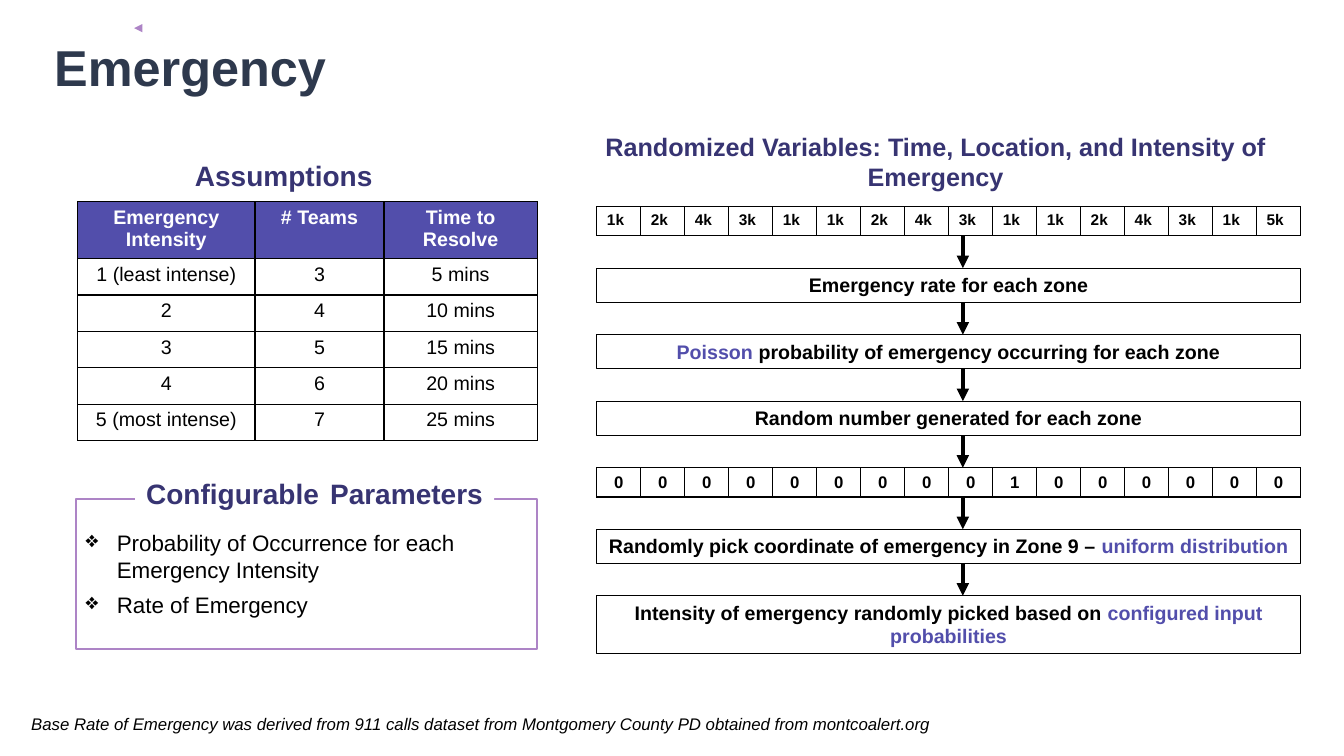
from lxml import etree
from pptx import Presentation
from pptx.dml.color import RGBColor
from pptx.enum.shapes import MSO_CONNECTOR, MSO_SHAPE
from pptx.enum.text import MSO_ANCHOR, PP_ALIGN
from pptx.oxml.ns import qn
from pptx.util import Inches, Pt

RECT, LINE = MSO_SHAPE.RECTANGLE, MSO_CONNECTOR.STRAIGHT
TOP, MIDDLE, BOTTOM = MSO_ANCHOR.TOP, MSO_ANCHOR.MIDDLE, MSO_ANCHOR.BOTTOM
LEFT, CENTER = PP_ALIGN.LEFT, PP_ALIGN.CENTER
BLACK = RGBColor(0, 0, 0)
WHITE = RGBColor(255, 255, 255)
SLATE = RGBColor(0x2E, 0x39, 0x4D)
NAVY = RGBColor(0x37, 0x34, 0x72)
INDIGO = RGBColor(0x52, 0x4E, 0xAB)
LILAC = RGBColor(0xAD, 0x84, 0xC6)

deck = Presentation()
deck.slide_width, deck.slide_height = Inches(13.33), Inches(7.5)
COL, ROW = deck.slide_width / 100, deck.slide_height / 100
slide = deck.slides.add_slide(deck.slide_layouts[6])
shapes = slide.shapes


def write(par, text, size=14, color=BLACK, bold=True, italic=False, align=CENTER):
    par.alignment = align
    run = par.add_run()
    run.text = text
    font = run.font
    font.name, font.size, font.bold, font.italic = "Arial", Pt(size), bold, italic
    font.color.rgb = color


def box(x, y, wide, high, fill=None, line=None, width=0.75, anchor=MIDDLE):
    shape = shapes.add_shape(RECT, int(x * COL), int(y * ROW), int(wide * COL), int(high * ROW))
    shape.shadow.inherit = False
    if fill is None:
        shape.fill.background()
    else:
        shape.fill.solid()
        shape.fill.fore_color.rgb = fill
    if line is None:
        shape.line.fill.background()
    else:
        shape.line.color.rgb = line
        shape.line.width = Pt(width)
    frame = shape.text_frame
    frame.word_wrap = True
    frame.vertical_anchor = anchor
    return frame


title = box(3.3, 3.73, 75, 9.87, anchor=BOTTOM).paragraphs[0]
title.line_spacing = 0.9
write(title, "Emergency", size=36, color=SLATE, align=LEFT)

heads = [
    ("Assumptions", 20, 13.2, 20.27, 15.83, 5.87),
    ("Randomized Variables: Time, Location, and Intensity of Emergency", 18, 43.44, 16.67, 52.36, 9.47),
]
for text, size, *place in heads:
    write(box(*place, fill=WHITE).paragraphs[0], text, size=size, color=NAVY)

panel = box(5.63, 65.95, 34.36, 19.87, line=LILAC, width=1.5)
items = ["Probability of Occurrence for each Emergency Intensity", "Rate of Emergency"]
for num, text in enumerate(items):
    par = panel.add_paragraph() if num else panel.paragraphs[0]
    par.space_before = Pt(6)
    write(par, text, size=16, bold=False, align=LEFT)
    prop = par._p.get_or_add_pPr()
    prop.set("marL", str(Inches(0.31)))
    prop.set("indent", str(-Inches(0.31)))
    etree.SubElement(prop, qn("a:buChar")).set("char", "❖")

label = box(10.05, 60.93, 26.71, 7.6, fill=WHITE).paragraphs[0]
for text, size in [("Configurable", 20), (" ", 28), ("Parameters", 20)]:
    write(label, text, size=size, color=NAVY)

levels = [
    ["Emergency Intensity", "# Teams", "Time to Resolve"],
    ["1 (least intense)", "3", "5 mins"],
    ["2", "4", "10 mins"],
    ["3", "5", "15 mins"],
    ["4", "6", "20 mins"],
    ["5 (most intense)", "7", "25 mins"],
]
rates = "1k 2k 4k 3k 1k 1k 2k 4k 3k 1k 1k 2k 4k 3k 1k 5k".split()
hits = ["1" if zone == 9 else "0" for zone in range(16)]

FLOW_X, FLOW_W, GAP = 44.41, 52.36, 4.27
flow = [
    (3.87, rates, 11, LEFT),
    (4.53, [("Emergency rate for each zone", BLACK)]),
    (4.53, [("Poisson ", INDIGO), ("probability of emergency occurring for each zone", BLACK)]),
    (4.53, [("Random number generated for each zone", BLACK)]),
    (3.87, hits, 12, CENTER),
    (4.53, [("Randomly pick coordinate of emergency in Zone 9 – ", BLACK), ("uniform distribution", INDIGO)]),
    (7.6, [("Intensity of emergency randomly picked based on ", BLACK), ("configured input probabilities", INDIGO)]),
]
tables = [(levels, 5.78, 26.67, [13.2, 9.6, 11.4], [7.55] + [4.81] * 5, 14, CENTER)]
arrows = [(10.05, 3.73, 9.98, 3.73, LILAC, 0.5)]
y = 27.33
for step, (high, parts, *style) in enumerate(flow):
    if step:
        arrows.append((71.64, y - GAP, 71.64, y, BLACK, 3))
    if style:
        tables.append(([parts], FLOW_X, y, [FLOW_W / 16] * 16, [high], *style))
    else:
        par = box(FLOW_X, y, FLOW_W, high, line=BLACK, anchor=TOP).paragraphs[0]
        for text, color in parts:
            write(par, text, color=color)
    y += high + GAP

for data, x, y, wides, highs, size, align in tables:
    table = shapes.add_table(
        len(highs), len(wides), int(x * COL), int(y * ROW), int(sum(wides) * COL), int(sum(highs) * ROW)
    ).table
    for col, wide in zip(table.columns, wides):
        col.width = int(wide * COL)
    for row, high in zip(table.rows, highs):
        row.height = int(high * ROW)
    for r, line in enumerate(data):
        for c, text in enumerate(line):
            cell = table.cell(r, c)
            prop = cell._tc.get_or_add_tcPr()
            for side in ("a:lnL", "a:lnR", "a:lnT", "a:lnB"):
                edge = etree.SubElement(prop, qn(side), w=str(Pt(1)))
                paint = etree.SubElement(edge, qn("a:solidFill"))
                etree.SubElement(paint, qn("a:srgbClr"), val=str(BLACK))
            head = data is levels and r == 0
            cell.fill.solid()
            cell.fill.fore_color.rgb = INDIGO if head else WHITE
            write(
                cell.text_frame.paragraphs[0], text, size=size, align=align,
                color=WHITE if head else BLACK, bold=head or data is not levels,
            )

for x, y, end_x, end_y, color, width in arrows:
    arrow = shapes.add_connector(LINE, int(x * COL), int(y * ROW), int(end_x * COL), int(end_y * ROW))
    arrow.line.color.rgb = color
    arrow.line.width = Pt(width)
    prop = arrow._element.spPr
    etree.SubElement(prop.find(qn("a:ln")), qn("a:tailEnd"), type="triangle")
    etree.SubElement(prop, qn("a:effectLst"))

note = box(1.58, 93.73, 95.42, 4, anchor=TOP).paragraphs[0]
write(
    note,
    "Base Rate of Emergency was derived from 911 calls dataset from Montgomery County PD obtained from montcoalert.org",
    size=12, bold=False, italic=True, align=LEFT,
)

deck.save("out.pptx")
